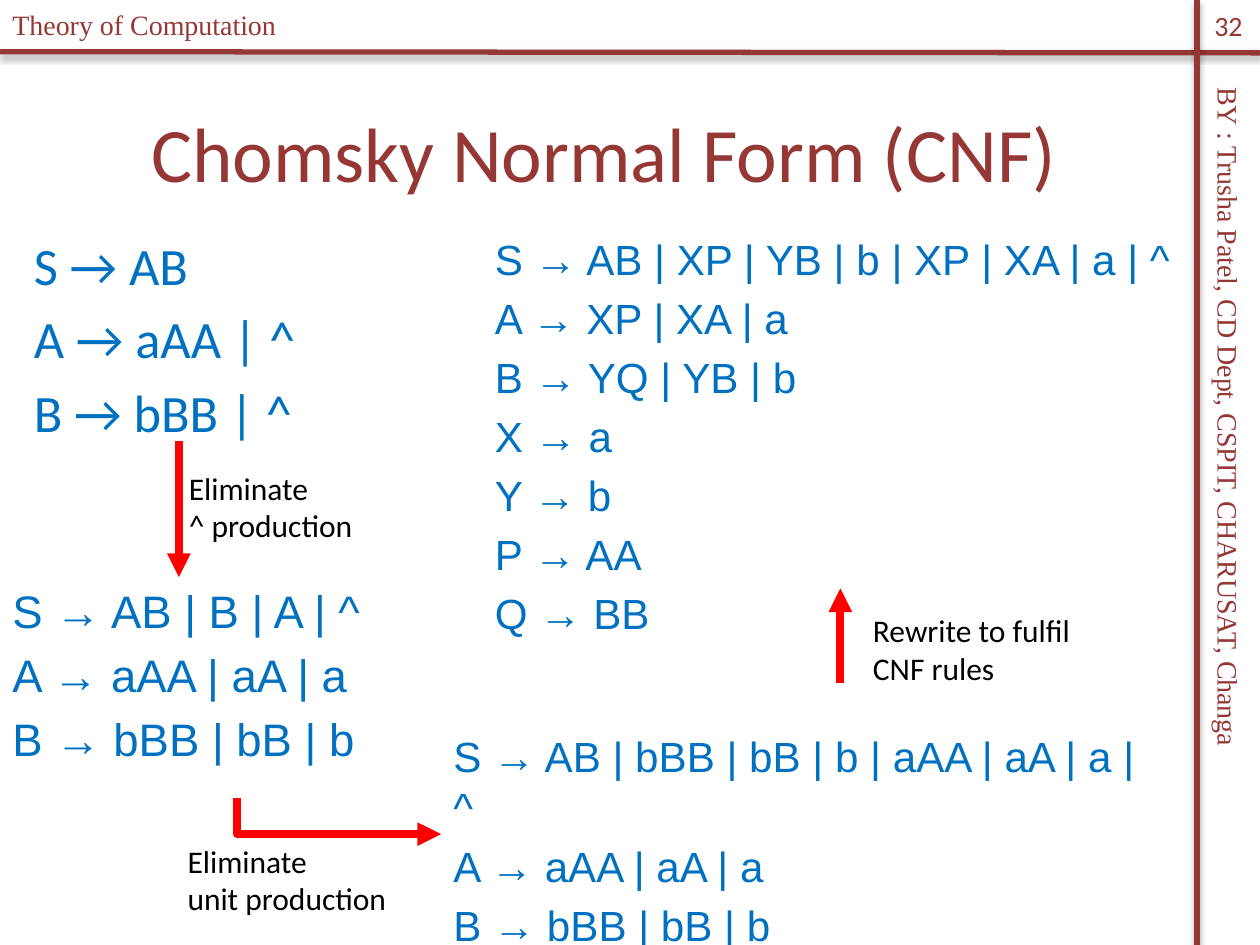
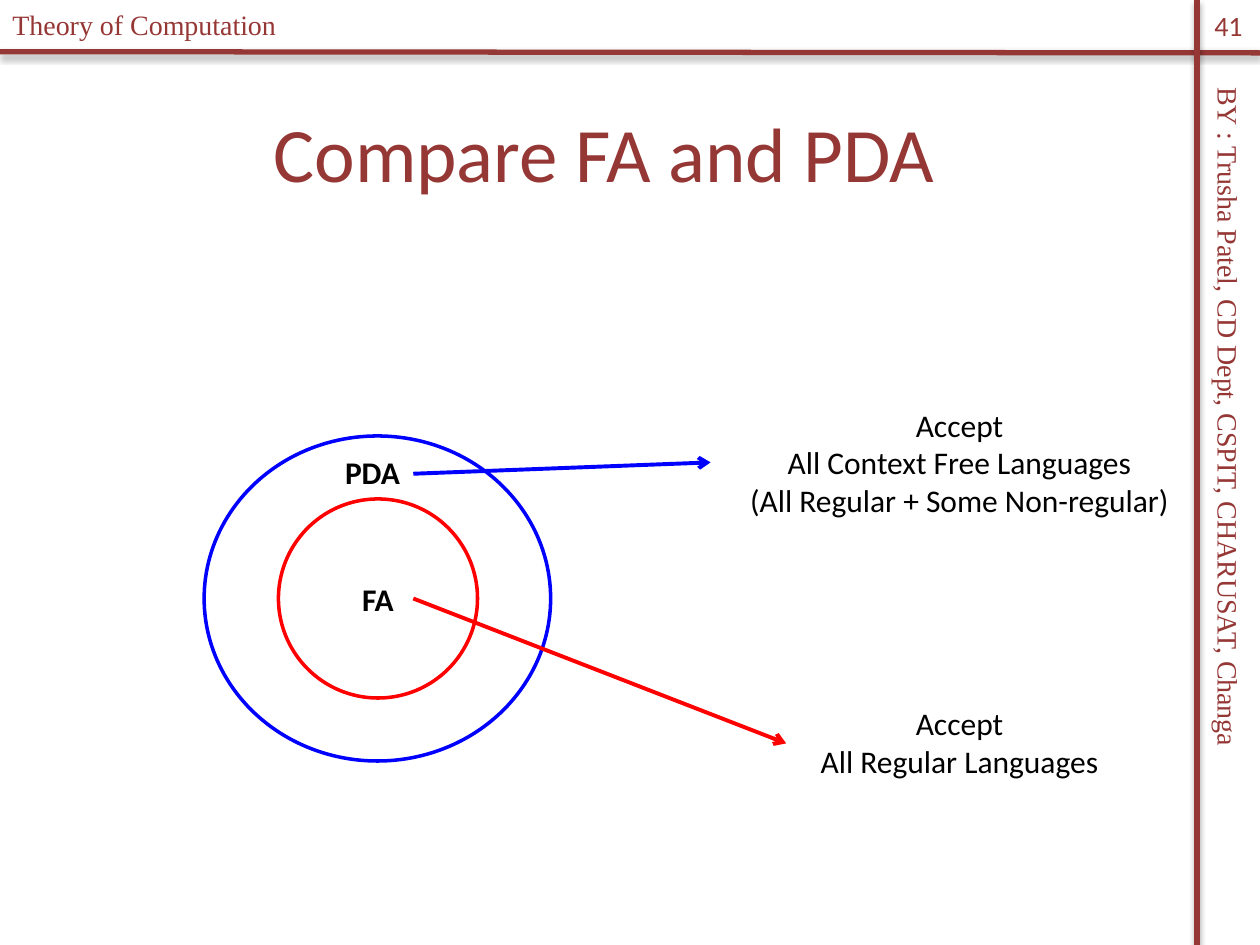
from lxml import etree
from pptx import Presentation
from pptx.dml.color import RGBColor
from pptx.enum.shapes import MSO_CONNECTOR as Link, MSO_SHAPE as Preset
from pptx.enum.text import MSO_ANCHOR as Anchor, MSO_AUTO_SIZE as AutoSize, PP_ALIGN as Align
from pptx.oxml.ns import qn
from pptx.util import Inches, Pt

MAROON = RGBColor(0x95, 0x37, 0x35)
GRAMMAR_BLUE = RGBColor(0x00, 0x70, 0xC0)
BLUE = RGBColor(0x00, 0x00, 0xFF)
RED = RGBColor(0xFF, 0x00, 0x00)
BLACK = RGBColor(0x00, 0x00, 0x00)

BODY_FONT = "Calibri"
GRAMMAR_FONT = "Arial"
BAND_FONT = "Times New Roman"


class Lecture:
    def __init__(self):
        self.deck = Presentation()
        self.deck.slide_width = Inches(10)
        self.deck.slide_height = Inches(7.5)
        self.page = None

    def add_page(self, title, number):
        self.page = self.deck.slides.add_slide(self.deck.slide_layouts[6])
        self.line((0, 0.41), (10, 0.42), MAROON, 3, shadow=True)
        self.line((9.5, 0), (9.5, 7.5), MAROON, 3, shadow=True)
        author = self.text((6.54, 3.62, 6.42, 0.37), ["BY : Trusha Patel, CD Dept, CSPIT, CHARUSAT, Changa"],
                           16, MAROON, BAND_FONT, wrap=False)
        author.rotation = 90
        self.text((0, 0.01, 3.29, 0.37), ["Theory of Computation"], 16, MAROON, BAND_FONT, wrap=False)
        self.text((0.17, 0.58, 9.25, 1.25), [title], 44, MAROON, align=Align.CENTER, anchor=Anchor.MIDDLE)
        self.text((9.5, 0, 0.5, 0.4), [number], 16, MAROON, align=Align.CENTER, anchor=Anchor.MIDDLE)

    def add_lines(self, frame, lines, size, color, font=BODY_FONT, align=Align.LEFT, bold=False, gap=0):
        for index, line in enumerate(lines):
            para = frame.paragraphs[0] if index == 0 else frame.add_paragraph()
            para.alignment = align
            para.space_before = Pt(gap if index else 0)
            span = para.add_run()
            span.text = line
            span.font.size = Pt(size)
            span.font.name = font
            span.font.bold = bold
            span.font.color.rgb = color

    def text(self, place, lines, size, color, font=BODY_FONT, align=Align.LEFT,
             anchor=Anchor.TOP, bold=False, gap=0, wrap=True):
        box = self.page.shapes.add_textbox(*map(Inches, place))
        frame = box.text_frame
        frame.word_wrap = wrap
        frame.auto_size = AutoSize.NONE if wrap else AutoSize.SHAPE_TO_FIT_TEXT
        frame.vertical_anchor = anchor
        self.add_lines(frame, lines, size, color, font, align, bold, gap)
        return box

    def grammar(self, place, rules, size, font=GRAMMAR_FONT):
        self.text(place, rules, size, GRAMMAR_BLUE, font, gap=round(size * 0.2, 1))

    def label(self, place, lines, align=Align.LEFT, bold=False):
        self.text(place, lines, 18, BLACK, align=align, bold=bold, wrap=False)

    def line(self, start, end, color, width, head=None, shadow=False, kind=Link.STRAIGHT):
        link = self.page.shapes.add_connector(kind, *map(Inches, (*start, *end)))
        link.line.color.rgb = color
        link.line.width = Pt(width)
        props = link._element.spPr
        if head:
            etree.SubElement(props.find(qn("a:ln")), qn("a:tailEnd"), type=head)
        effects = etree.SubElement(props, qn("a:effectLst"))
        if shadow:
            outer = etree.SubElement(effects, qn("a:outerShdw"), blurRad=str(Pt(3.1)),
                                     dist=str(Pt(1.8)), dir="5400000", rotWithShape="0")
            tint = etree.SubElement(outer, qn("a:srgbClr"), val="000000")
            etree.SubElement(tint, qn("a:alpha"), val="35000")
        return link

    def down_then_right(self, start, end, color, width, head):
        middle_x, middle_y = (start[0] + end[0]) / 2, (start[1] + end[1]) / 2
        half_run, half_drop = (end[0] - start[0]) / 2, (end[1] - start[1]) / 2
        link = self.line((middle_x + half_drop, middle_y - half_run),
                         (middle_x - half_drop, middle_y + half_run),
                         color, width, head, kind=Link.ELBOW)
        props = link._element.spPr
        props.find(qn("a:xfrm")).set("rot", "16200000")
        props.find(qn("a:prstGeom")).set("prst", "bentConnector2")

    def ring(self, place, color, name=None):
        oval = self.page.shapes.add_shape(Preset.OVAL, *map(Inches, place))
        oval.shadow.inherit = False
        oval.fill.background()
        oval.line.color.rgb = color
        oval.line.width = Pt(2)
        if name:
            oval.text_frame.vertical_anchor = Anchor.MIDDLE
            self.add_lines(oval.text_frame, [name], 18, BLACK, align=Align.CENTER, bold=True)

    def step(self, start, end):
        self.line(start, end, RED, 4.5, "triangle")


def normal_form_page(lecture):
    lecture.add_page("Chomsky Normal Form (CNF)", "32")
    lecture.grammar((0.17, 1.8, 2.5, 1.7), ["S → AB", "A → aAA | ^", "B → bBB | ^"], 30, BODY_FONT)
    shared_rules = ["A → aAA | aA | a", "B → bBB | bB | b"]
    lecture.grammar((0, 4.58, 3.75, 1.75), ["S → AB | B | A | ^", *shared_rules], 26)
    lecture.grammar((3.5, 5.75, 5.83, 1.75),
                    ["S → AB | bBB | bB | b | aAA | aA | a | ^", *shared_rules], 24.1)
    lecture.step((1.42, 3.5), (1.42, 4.58))
    lecture.label((1.4, 3.67, 1.52, 0.71), ["Eliminate", "^ production"])
    lecture.label((1.39, 6.63, 1.8, 0.71), ["Eliminate", "unit production"])
    lecture.grammar((3.83, 1.8, 5.67, 2.87),
                    ["S → AB | XP | YB | b | XP | XA | a | ^", "A → XP | XA | a", "B → YQ | YB | b",
                     "X → a", "Y → b", "P → AA", "Q → BB"], 24.1)
    lecture.down_then_right((1.88, 6.33), (3.5, 6.62), RED, 4.5, "triangle")
    lecture.step((6.67, 5.42), (6.67, 4.67))
    lecture.label((6.83, 4.8, 1.78, 0.71), ["Rewrite to fulfil", "CNF rules"])


def comparison_page(lecture):
    lecture.add_page("Compare FA and PDA", "41")
    lecture.ring((2.21, 3.96, 1.58, 1.58), RED, "FA")
    lecture.ring((1.62, 3.46, 2.75, 2.58), BLUE)
    lecture.label((2.64, 3.55, 0.64, 0.4), ["PDA"], bold=True)
    lecture.label((6.24, 5.54, 2.75, 0.71), ["Accept", "All Regular Languages"], Align.CENTER)
    lecture.label((5.64, 3.17, 3.95, 1.01),
                  ["Accept", "All Context Free Languages", "(All Regular + Some Non-regular)"], Align.CENTER)
    lecture.line((3.28, 3.76), (5.64, 3.67), BLUE, 2.25, "arrow")
    lecture.line((3.28, 4.75), (6.24, 5.9), RED, 2.25, "arrow")


def main():
    lecture = Lecture()
    normal_form_page(lecture)
    comparison_page(lecture)
    lecture.deck.save("out.pptx")


if __name__ == "__main__":
    main()
